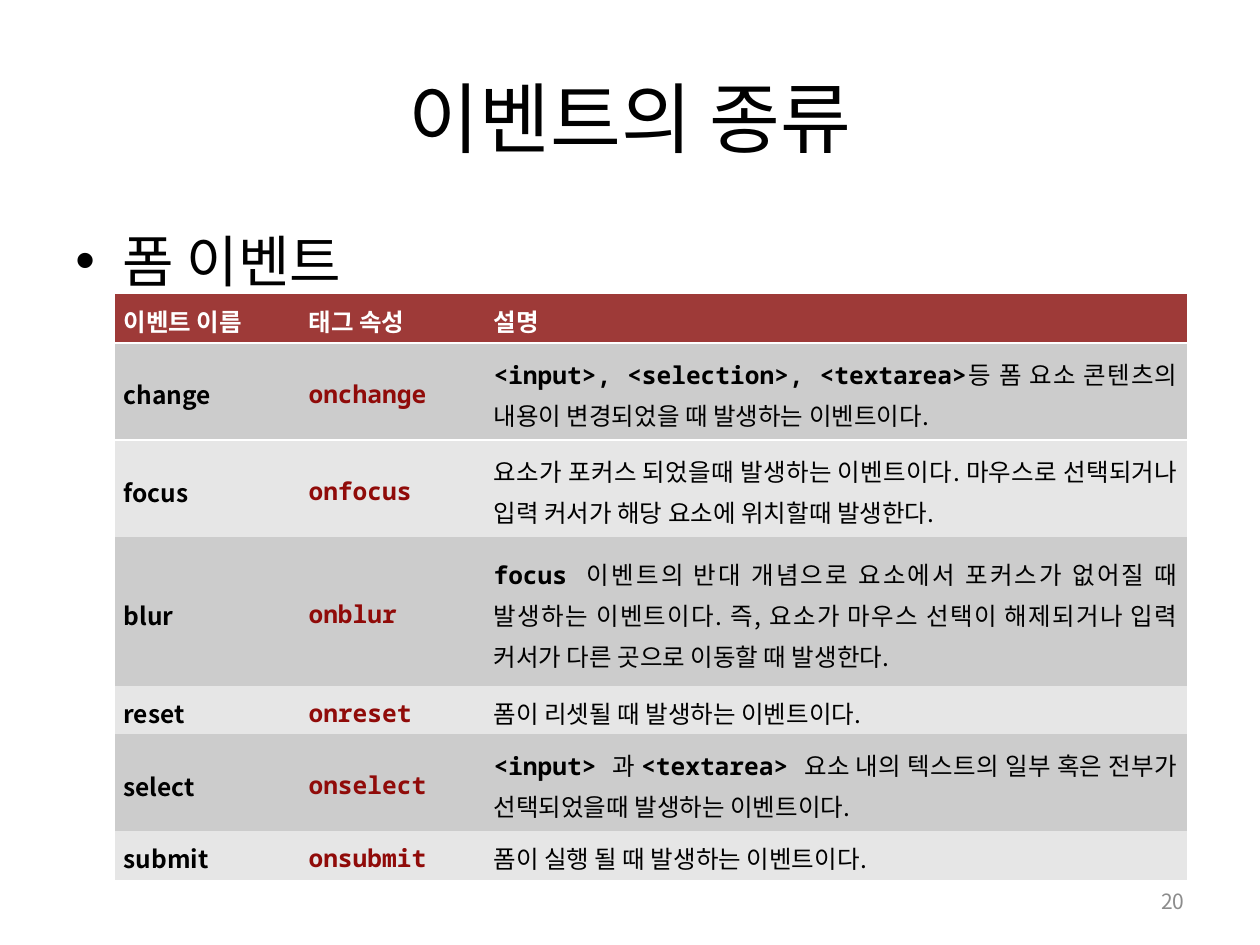
from lxml import etree
from pptx import Presentation
from pptx.dml.color import RGBColor
from pptx.enum.text import MSO_ANCHOR, PP_ALIGN
from pptx.oxml.ns import qn
from pptx.util import Cm, Pt

MIDDLE, TOP = MSO_ANCHOR.MIDDLE, MSO_ANCHOR.TOP
LEFT, CENTER, RIGHT, JUSTIFY = PP_ALIGN.LEFT, PP_ALIGN.CENTER, PP_ALIGN.RIGHT, PP_ALIGN.JUSTIFY
SANS, MONO = "Noto Sans CJK KR", "Noto Sans Mono"
PLAIN_TABLE_STYLE = "{2D5ABB26-0587-4C30-8999-92F81FD0307C}"
COLORS = {"text": "000000", "page": "8C8C8C", "header": "9E3A38", "white": "FFFFFF",
          "attribute": "900B09", "odd": "CCCCCC", "even": "E6E6E6"}

# Content: a description is a list of (text, is_code) parts
TITLE = "이벤트의 종류"
BULLET = "폼 이벤트"
PAGE_NUMBER = "20"
HEADERS = ["이벤트 이름", "태그 속성", "설명"]
EVENTS = [
    ("change", [("<input>, <selection>, <textarea>", True),
                ("등 폼 요소 콘텐츠의 내용이 변경되었을 때 발생하는 이벤트이다.", False)]),
    ("focus", [("요소가 포커스 되었을때 발생하는 이벤트이다. 마우스로 선택되거나 "
                "입력 커서가 해당 요소에 위치할때 발생한다.", False)]),
    ("blur", [("focus ", True),
              ("이벤트의 반대 개념으로 요소에서 포커스가 없어질 때 발생하는 이벤트이다. "
               "즉, 요소가 마우스 선택이 해제되거나 입력 커서가 다른 곳으로 이동할 때 "
               "발생한다.", False)]),
    ("reset", [("폼이 리셋될 때 발생하는 이벤트이다.", False)]),
    ("select", [("<input> ", True), ("과 ", False), ("<textarea> ", True),
                ("요소 내의 텍스트의 일부 혹은 전부가 선택되었을때 발생하는 이벤트이다.", False)]),
    ("submit", [("폼이 실행 될 때 발생하는 이벤트이다.", False)]),
]
COLUMN_WIDTHS = [3.73, 3.73, 14.15]
ROW_HEIGHTS = [0.98, 1.96, 1.96, 3, 0.97, 1.96, 0.97]


def add_span(para, text, size=14, font=SANS, color="text", bold=False):
    span = para.add_run()
    span.text = text
    span.font.size = Pt(size)
    span.font.bold = bold
    span.font.name = font
    span.font.color.rgb = RGBColor.from_string(COLORS[color])
    latin = span.font._element.find(qn("a:latin"))
    east_asian = etree.Element(qn("a:ea"), typeface=font)
    latin.addnext(east_asian)


def add_text(page, text, left, top, width, height, size, align=LEFT, anchor=MIDDLE, color="text"):
    box = page.shapes.add_textbox(Cm(left), Cm(top), Cm(width), Cm(height))
    frame = box.text_frame
    frame.word_wrap = True
    frame.vertical_anchor = anchor
    para = frame.paragraphs[0]
    para.alignment = align
    add_span(para, text, size=size, color=color)
    return para


def add_border(cell, side):
    line = etree.Element(qn(f"a:{side}"), w=str(Pt(1.5)))
    fill = etree.SubElement(line, qn("a:solidFill"))
    etree.SubElement(fill, qn("a:srgbClr"), val=COLORS["white"])
    cell._tc.get_or_add_tcPr().insert(0, line)


def fill_cell(cell, spans, fill):
    cell.fill.solid()
    cell.fill.fore_color.rgb = RGBColor.from_string(COLORS[fill])
    cell.vertical_anchor = MIDDLE
    cell.margin_left = cell.margin_right = Cm(0.18)
    cell.margin_top = cell.margin_bottom = 0
    para = cell.text_frame.paragraphs[0]
    para.alignment = JUSTIFY
    para.line_spacing = 1.15
    for text, style in spans:
        add_span(para, text, **style)


deck = Presentation()
deck.slide_width, deck.slide_height = Cm(25.4), Cm(19.05)
page = deck.slides.add_slide(deck.slide_layouts[6])

# Title, bullet line and page number
add_text(page, TITLE, 1.27, 0.76, 22.86, 3.18, size=44, align=CENTER)
bullet = add_text(page, BULLET, 1.27, 4.45, 22.86, 12.57, size=32, anchor=TOP)
properties = bullet._p.get_or_add_pPr()
properties.set("marL", str(Cm(0.95)))
properties.set("indent", str(-Cm(0.95)))
spacing = etree.SubElement(properties, qn("a:spcBef"))
etree.SubElement(spacing, qn("a:spcPct"), val="20000")
etree.SubElement(properties, qn("a:buFont"), typeface="Arial")
etree.SubElement(properties, qn("a:buChar"), char="•")
add_text(page, PAGE_NUMBER, 18.2, 17.66, 5.93, 1.02, size=12, align=RIGHT, color="page")

# Event table
table = page.shapes.add_table(len(EVENTS) + 1, len(HEADERS), Cm(2.31), Cm(5.93),
                              Cm(sum(COLUMN_WIDTHS)), Cm(sum(ROW_HEIGHTS))).table
table._tbl.tblPr.find(qn("a:tableStyleId")).text = PLAIN_TABLE_STYLE
for column, width in zip(table.columns, COLUMN_WIDTHS):
    column.width = Cm(width)
for row, height in zip(table.rows, ROW_HEIGHTS):
    row.height = Cm(height)

header_style = {"color": "white", "bold": True}
name_style = {"bold": True}
attribute_style = {"font": MONO, "color": "attribute", "bold": True}
code_style = {"font": MONO, "bold": True}

for index, header in enumerate(HEADERS):
    fill_cell(table.cell(0, index), [(header, header_style)], "header")
    add_border(table.cell(0, index), "lnB")
    add_border(table.cell(1, index), "lnT")

for row, (name, description) in enumerate(EVENTS, start=1):
    fill = "odd" if row % 2 else "even"
    fill_cell(table.cell(row, 0), [(name, name_style)], fill)
    fill_cell(table.cell(row, 1), [("on" + name, attribute_style)], fill)
    parts = [(text, code_style if is_code else {}) for text, is_code in description]
    fill_cell(table.cell(row, 2), parts, fill)

deck.save("out.pptx")
